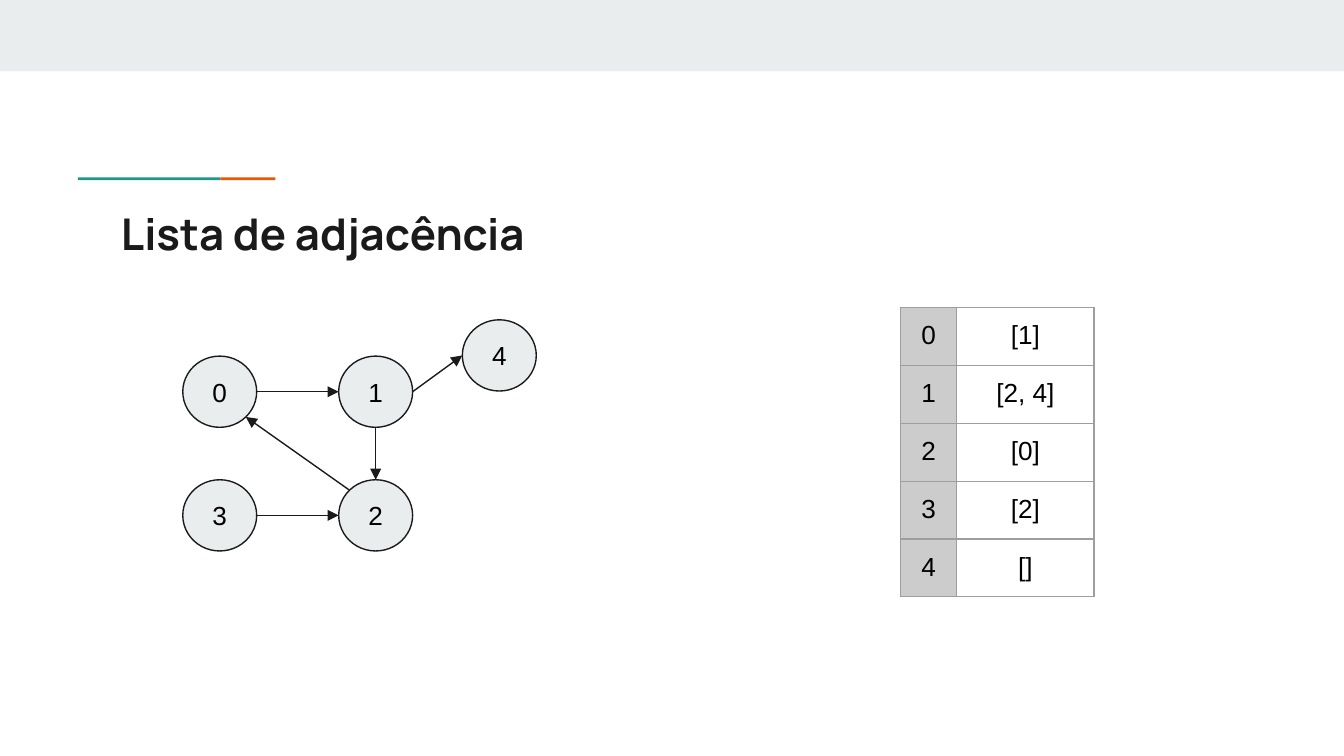
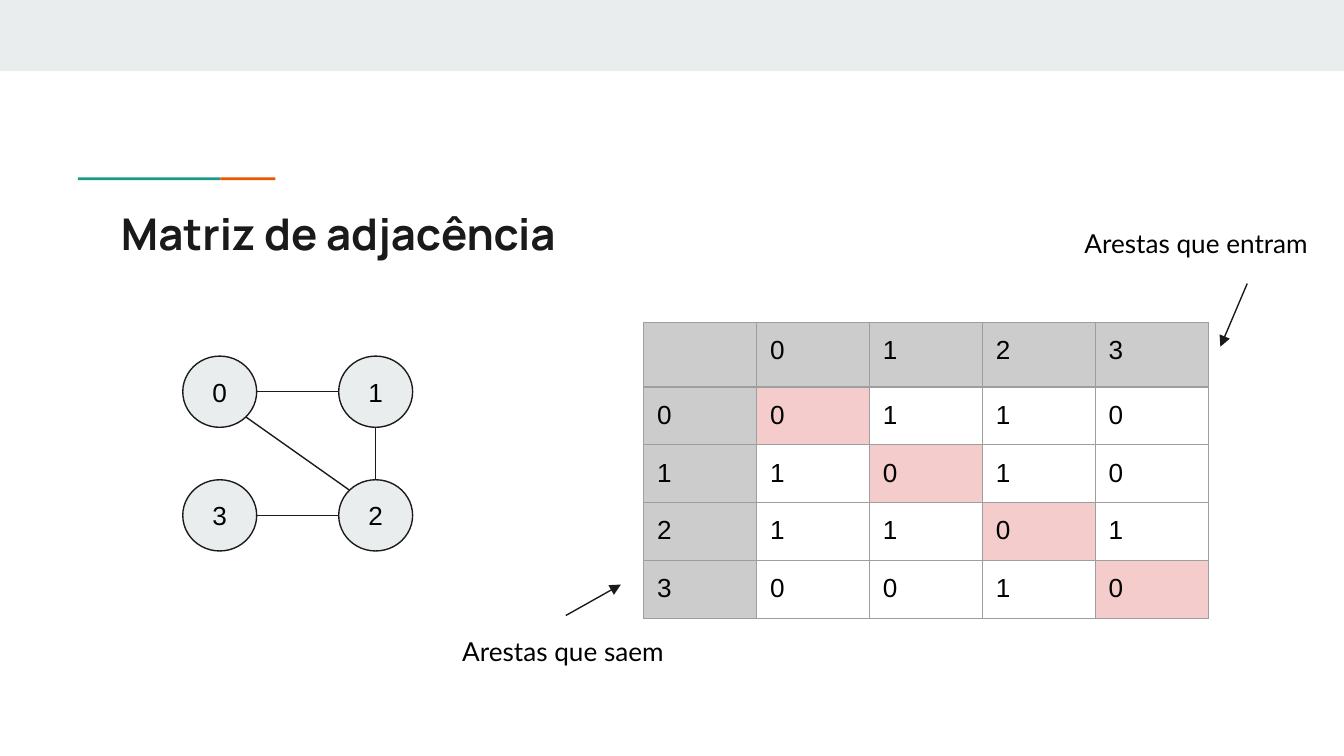
from math import cos, radians, sin

from lxml import etree
from pptx import Presentation
from pptx.dml.color import RGBColor
from pptx.enum import shapes as sh, text as tx
from pptx.oxml import ns
from pptx.util import Inches, Pt

INK = RGBColor(0x1A, 0x1A, 0x1A)
BLACK = RGBColor(0, 0, 0)
WHITE = RGBColor(0xFF, 0xFF, 0xFF)
PALE = RGBColor(0xE9, 0xED, 0xEE)
TEAL = RGBColor(0x1A, 0x99, 0x88)
ORANGE = RGBColor(0xEB, 0x56, 0x00)
GRAY = RGBColor(0xCC, 0xCC, 0xCC)
PINK = RGBColor(0xF4, 0xCC, 0xCC)
RULE = RGBColor(0x9E, 0x9E, 0x9E)

LEFT, MID = tx.PP_ALIGN.LEFT, tx.PP_ALIGN.CENTER
TOP, CENTER = tx.MSO_ANCHOR.TOP, tx.MSO_ANCHOR.MIDDLE

# Graph layout: node offsets inside the graph box, and angles of node sides
NODE_W, NODE_H = 0.55, 0.53
NODES = {"0": (0, 0.27), "1": (1.16, 0.27), "2": (1.16, 1.19),
         "3": (0, 1.19), "4": (2.08, 0)}
SIDES = {"right": 0, "low right": 45, "bottom": 90, "left": 180,
         "high left": 225, "top": 270}
EDGES = [("0", "right", "1", "left"), ("1", "bottom", "2", "top"),
         ("2", "high left", "0", "low right"), ("3", "right", "2", "left")]
GRAPH = (1.36, 2.38)


def write(frame, words, size=14, font="Arial", color=BLACK, bold=False,
          align=LEFT):
    par = frame.paragraphs[0]
    par.alignment = align
    run = par.add_run()
    run.text = words
    run.font.size, run.font.name, run.font.bold = Pt(size), font, bold
    run.font.color.rgb = color


def inset(box, anchor=TOP):
    box.vertical_anchor = anchor
    box.margin_left = box.margin_right = Inches(0.1)
    box.margin_top = box.margin_bottom = Inches(0.1)
    box.word_wrap = True


def shape(slide, kind, box, fill, line=None):
    item = slide.shapes.add_shape(kind, *map(Inches, box))
    item.shadow.inherit = False
    item.fill.solid()
    item.fill.fore_color.rgb = fill
    if line is None:
        item.line.fill.background()
    else:
        item.line.color.rgb = line
        item.line.width = Pt(0.75)
    return item


def link(slide, start, end, arrow=True):
    item = slide.shapes.add_connector(
        sh.MSO_CONNECTOR.STRAIGHT, *map(Inches, (*start, *end)))
    item.line.color.rgb = INK
    item.line.width = Pt(0.75)
    props = item.element.spPr
    if arrow:
        etree.SubElement(props.find(ns.qn("a:ln")), ns.qn("a:tailEnd"),
                         type="triangle")
    etree.SubElement(props, ns.qn("a:effectLst"))


def label(slide, words, box):
    frame = slide.shapes.add_textbox(*map(Inches, box)).text_frame
    inset(frame)
    write(frame, words, font="Lato")


# Band, accent rule and title
def base(deck, title):
    slide = deck.slides.add_slide(deck.slide_layouts[5])
    rect = sh.MSO_SHAPE.RECTANGLE
    shape(slide, rect, (0, 0, 10, 0.53), PALE)
    shape(slide, rect, (0.58, 1.32, 1.06, 0.02), TEAL)
    shape(slide, rect, (1.64, 1.32, 0.41, 0.02), ORANGE)
    head = slide.shapes.title
    head.left, head.top, head.width, head.height = map(
        Inches, (0.8, 1.44, 8.41, 0.59))
    inset(head.text_frame)
    write(head.text_frame, title, 23.4, "Manrope", INK, bold=True)
    return slide


def graph(slide, at, names, edges, arrow):
    def rim(name, side):
        turn = radians(SIDES[side])
        dx, dy = NODES[name]
        return (at[0] + dx + NODE_W / 2 * (1 + cos(turn)),
                at[1] + dy + NODE_H / 2 * (1 + sin(turn)))

    for name in names:
        dx, dy = NODES[name]
        node = shape(slide, sh.MSO_SHAPE.OVAL,
                     (at[0] + dx, at[1] + dy, NODE_W, NODE_H), PALE, INK)
        inset(node.text_frame, CENTER)
        write(node.text_frame, name, align=MID)
    for tail, leave, head, enter in edges:
        link(slide, rim(tail, leave), rim(head, enter), arrow)


def border(cell):
    props = cell._tc.get_or_add_tcPr()
    for spot, tag in enumerate(("a:lnL", "a:lnR", "a:lnT", "a:lnB")):
        line = etree.Element(ns.qn(tag), w=str(Pt(0.75)))
        fill = etree.SubElement(line, ns.qn("a:solidFill"))
        etree.SubElement(fill, ns.qn("a:srgbClr"), val=str(RULE))
        props.insert(spot, line)


# An empty cell still needs a font, since it sets the row height
def blank(cell):
    par = cell.text_frame.paragraphs[0]._p
    end = etree.SubElement(par, ns.qn("a:endParaRPr"), sz="1800")
    etree.SubElement(end, ns.qn("a:latin"), typeface="Arial")


def grid(slide, at, rows, widths, heights, shade, align=LEFT):
    box = (*at, sum(widths), sum(heights))
    table = slide.shapes.add_table(
        len(rows), len(widths), *map(Inches, box)).table
    table.first_row = table.horz_banding = False
    for col, width in zip(table.columns, widths):
        col.width = Inches(width)
    for r, (row, height) in enumerate(zip(rows, heights)):
        table.rows[r].height = Inches(height)
        for c, words in enumerate(row):
            cell = table.cell(r, c)
            inset(cell.text_frame)
            cell.margin_left = cell.margin_right = Inches(0.1)
            cell.margin_top = cell.margin_bottom = Inches(0.1)
            cell.fill.solid()
            cell.fill.fore_color.rgb = shade(r, c)
            if words:
                write(cell.text_frame, words, align=align)
            else:
                blank(cell)
            border(cell)


# Adjacency list
def list_slide(deck):
    slide = base(deck, "Lista de adjacência")
    graph(slide, GRAPH, "01234", EDGES + [("1", "right", "4", "left")], True)
    goals = ["[1]", "[2, 4]", "[0]", "[2]", "[]"]
    rows = [(str(n), goal) for n, goal in enumerate(goals)]
    grid(slide, (6.7, 2.29), rows, [0.42, 1.02], [0.43] * 5,
         lambda r, c: WHITE if c else GRAY, MID)


# Adjacency matrix
def matrix_slide(deck):
    slide = base(deck, "Matriz de adjacência")
    graph(slide, GRAPH, "0123", EDGES, False)
    bits = ["0110", "1010", "1101", "0010"]
    rows = [["", *"0123"]] + [[str(n), *row] for n, row in enumerate(bits)]

    def shade(r, c):
        if r == 0 or c == 0:
            return GRAY
        return PINK if r == c else WHITE

    grid(slide, (4.79, 2.4), rows, [0.84] * 5, [0.43] * 5, shade)
    link(slide, (9.28, 2.11), (9.08, 2.58))
    label(slide, "Arestas que entram", (7.97, 1.59, 2.03, 0.44))
    link(slide, (4.21, 4.58), (4.62, 4.35))
    label(slide, "Arestas que saem", (3.34, 4.63, 1.77, 0.44))


def main():
    deck = Presentation()
    deck.slide_width = Inches(10)
    deck.slide_height = deck.slide_width * 9 // 16
    list_slide(deck)
    matrix_slide(deck)
    deck.save("out.pptx")


if __name__ == "__main__":
    main()
